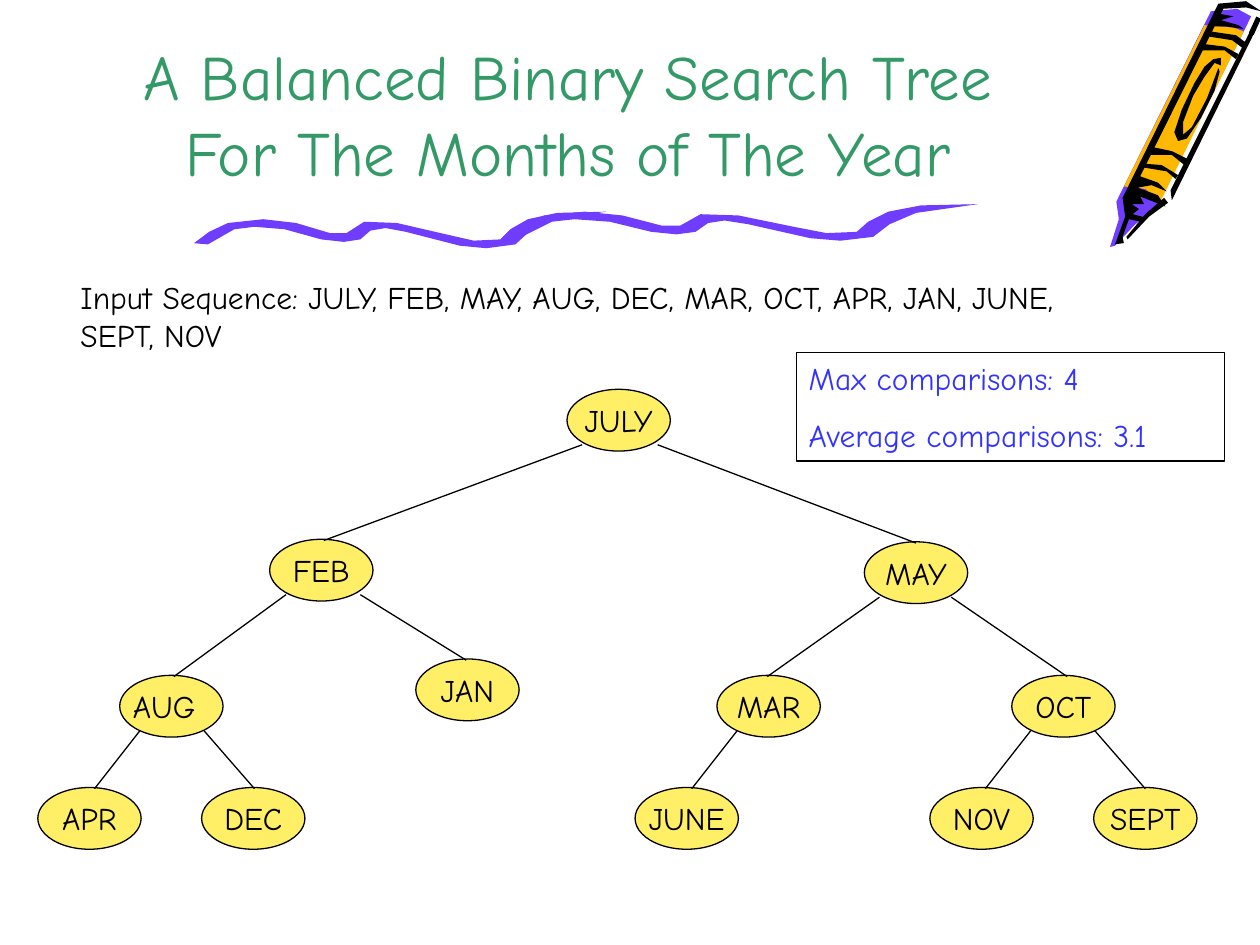
from lxml.etree import SubElement
from pptx import Presentation
from pptx.dml.color import RGBColor
from pptx.enum.shapes import MSO_CONNECTOR as Link, MSO_SHAPE as Kind
from pptx.enum.text import MSO_ANCHOR as Anchor, PP_ALIGN as Align
from pptx.oxml.ns import qn
from pptx.util import Pt

PX = 9144
FONT = "Comic Neue"
BLACK, GOLD, VIOLET = "000000", "FFB800", "703DFF"
NODE_W, NODE_H = 82, 49


def color(code):
    return RGBColor.from_string(code)


def write(shape, lines, size, code, align=Align.LEFT, before=0):
    frame = shape.text_frame
    frame.text = "\n".join(lines)
    for para in frame.paragraphs:
        para.alignment = align
        para.space_before = Pt(before)
        para.font.name = FONT
        para.font.size = Pt(size)
        para.font.color.rgb = color(code)
    return frame


deck = Presentation()
deck.slide_width, deck.slide_height = 1000 * PX, 750 * PX
slide = deck.slides.add_slide(deck.slide_layouts[6])
shapes = slide.shapes

crayon = [
    (VIOLET, [(993, 13), (917, 166), (901, 178), (885, 195), (881, 196), (888, 174),
              (886, 160), (961, 9), (982, 7)]),
    (GOLD, [(921, 160), (909, 150), (892, 148), (956, 20), (979, 22), (987, 25)]),
    (BLACK, [(927, 161), (912, 172), (895, 190), (894, 188), (909, 170), (924, 157)]),
    (BLACK, [(987, 23), (973, 21), (961, 21), (968, 11), (979, 13), (969, 16), (983, 20)]),
    (BLACK, [(968, 57), (964, 72), (953, 94), (942, 110), (935, 112), (932, 105),
             (938, 87), (948, 66), (956, 53), (963, 47), (969, 46), (969, 52),
             (964, 50), (956, 61), (947, 76), (939, 97), (939, 107), (946, 101),
             (958, 78), (967, 54)]),
    (BLACK, [(997, 23), (930, 159), (929, 151), (993, 23)]),
    (BLACK, [(925, 164), (919, 155), (903, 149), (914, 147), (926, 152), (919, 145),
             (905, 140), (971, 7), (989, 6), (1001, 9), (989, 1), (967, 3),
             (891, 157), (893, 172), (885, 194), (892, 193), (891, 188), (896, 174),
             (905, 176), (910, 173), (899, 170), (904, 166), (898, 162), (908, 162),
             (905, 156)]),
    (BLACK, [(933, 142), (926, 136), (908, 133), (909, 130), (922, 131), (935, 139)]),
    (BLACK, [(940, 131), (930, 123), (913, 123), (916, 117), (930, 120), (942, 126)]),
    (BLACK, [(981, 47), (972, 40), (953, 40), (956, 35), (972, 37), (983, 43)]),
    (BLACK, [(986, 38), (978, 32), (959, 29), (961, 25), (981, 28), (989, 34)]),
]
wave = [(165, 194), (186, 182), (202, 180), (226, 182), (255, 190), (273, 192),
        (286, 190), (294, 183), (306, 181), (322, 184), (365, 195), (386, 197),
        (409, 194), (420, 184), (438, 175), (481, 168), (442, 169), (419, 174),
        (405, 182), (397, 190), (376, 191), (354, 186), (315, 177), (289, 176),
        (275, 185), (262, 185), (235, 177), (209, 174), (181, 177), (166, 184),
        (154, 193)]
wide = [(round(401 + (x - 154) * 1.147), y - 6) for x, y in wave]

for code, dots in crayon + [(VIOLET, wave), (VIOLET, wide)]:
    pen = shapes.build_freeform(*dots[0], scale=PX)
    pen.add_line_segments(dots[1:], close=True)
    form = pen.convert_to_shape()
    form.fill.solid()
    form.fill.fore_color.rgb = color(code)
    form.line.fill.background()
    form.shadow.inherit = False

title = shapes.add_textbox(75 * PX, 0, 751 * PX, 155 * PX)
frame = write(title, ["A Balanced Binary Search Tree For The Months of The Year"],
              36, "339966", Align.CENTER)
frame.word_wrap = True
frame.vertical_anchor = Anchor.BOTTOM

order = shapes.add_textbox(54 * PX, 216 * PX, 821 * PX, 70 * PX)
frame = write(order, ["Input Sequence: JULY, FEB, MAY, AUG, DEC, MAR, OCT, APR, JAN, JUNE, SEPT, NOV"],
              18, BLACK, before=11.2)
frame.word_wrap = True

nodes = {
    "JULY": (450, 309),
    "FEB": (214, 428), "MAY": (686, 430),
    "AUG": (95, 536), "JAN": (330, 523), "MAR": (569, 536), "OCT": (803, 536),
    "APR": (30, 625), "DEC": (160, 625), "JUNE": (504, 625),
    "NOV": (738, 625), "SEPT": (868, 625),
}
for name, (x, y) in nodes.items():
    node = shapes.add_shape(Kind.OVAL, x * PX, y * PX, NODE_W * PX, NODE_H * PX)
    node.fill.solid()
    node.fill.fore_color.rgb = color("FFEF66")
    node.line.color.rgb = color(BLACK)
    node.line.width = Pt(0.75)
    node.shadow.inherit = False
    frame = write(node, [name], 18, BLACK, Align.RIGHT if name == "AUG" else Align.CENTER)
    frame.word_wrap = False
    frame.vertical_anchor = Anchor.MIDDLE

edges = [
    ("JULY", "FEB", 12, 43), ("JULY", "MAY", 72, 41),
    ("FEB", "AUG", 13, 43), ("FEB", "JAN", 72, 40),
    ("MAY", "MAR", 12, 40), ("MAY", "OCT", 69, 44),
    ("AUG", "APR", 16, 45), ("AUG", "DEC", 67, 42),
    ("MAR", "JUNE", 16, 45),
    ("OCT", "NOV", 15, 44), ("OCT", "SEPT", 66, 41),
]
lines = [((999, 14), (993, 27), 3)]
for top, low, out, into in edges:
    (x1, y1), (x2, y2) = nodes[top], nodes[low]
    lines.append(((x1 + out, y1 + 44), (x2 + into, y2 + 1), 0.75))

for (x1, y1), (x2, y2), width in lines:
    line = shapes.add_connector(Link.STRAIGHT, x1 * PX, y1 * PX, x2 * PX, y2 * PX)
    line.line.color.rgb = color(BLACK)
    line.line.width = Pt(width)
    SubElement(line._element.spPr, qn("a:effectLst"))

stats = shapes.add_textbox(632 * PX, 280 * PX, 340 * PX, 86 * PX)
stats.line.color.rgb = color(BLACK)
stats.line.width = Pt(0.75)
frame = write(stats, ["Max comparisons: 4", "Average comparisons: 3.1"], 18, "3333FF", before=11.2)
frame.word_wrap = True

deck.save("out.pptx")
